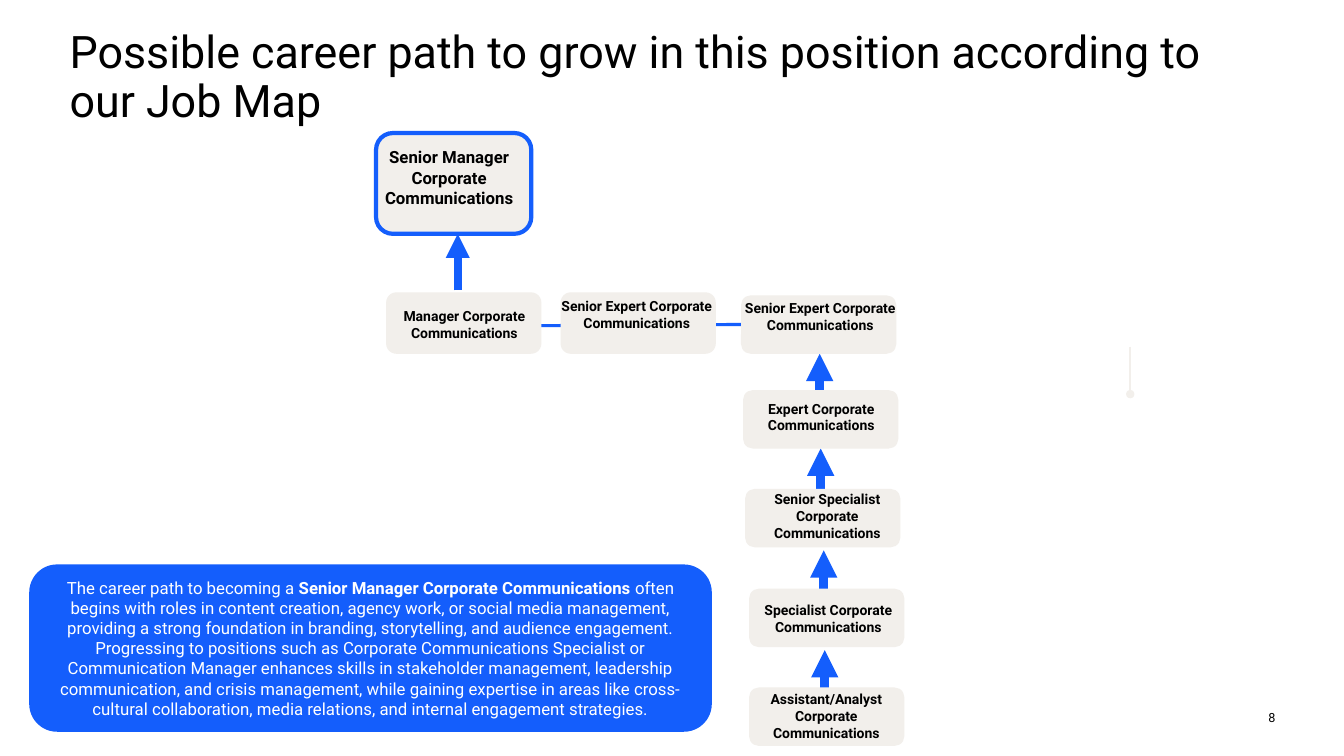
"""Build the career path slide for Corporate Communications."""
from lxml.etree import SubElement
from pptx import Presentation
from pptx.dml.color import RGBColor
from pptx.enum.shapes import MSO_CONNECTOR as Connector, MSO_SHAPE as Shape
from pptx.enum.text import MSO_ANCHOR as Anchor, PP_ALIGN as Align
from pptx.oxml.ns import qn
from pptx.util import Inches, Pt

BLUE = RGBColor(0x14, 0x5E, 0xFC)
SAND = RGBColor(0xF2, 0xEF, 0xEB)
BLACK = RGBColor(0, 0, 0)
WHITE = RGBColor(255, 255, 255)
FONT = "Roboto"
CARD_WIDTH = 1.54

TITLE = "Possible career path to grow in this position according to our Job Map"
TOP_ROLE = "Senior Manager Corporate Communications"
SUMMARY = [
    ("The career path to becoming a ", False),
    (TOP_ROLE + " ", True),
    ("often begins with roles in content creation, agency work, or social media "
     "management, providing a strong foundation in branding, storytelling, and audience "
     "engagement. Progressing to positions such as Corporate Communications Specialist or "
     "Communication Manager enhances skills in stakeholder management, leadership "
     "communication, and crisis management, while gaining expertise in areas like "
     "cross-cultural collaboration, media relations, and internal engagement strategies.",
     False),
]

# Role, card offset, label offset from the card, label width
MANAGEMENT_ROLES = [
    ("Manager Corporate Communications", (0, 0), (0.08, 0.15), 1.39),
    ("Senior Expert Corporate Communications", (1.73, 0), (-0.03, 0.05), 1.57),
]
LADDER_ROLES = [
    ("Senior Expert Corporate Communications", (0, 0), (0.03, 0.04), 1.51),
    ("Expert Corporate Communications", (0.02, 0.94), (0.02, 0.1), 1.51),
    ("Senior Specialist Corporate Communications", (0.04, 1.92), (0.06, 0.02), 1.51),
    ("Specialist Corporate Communications", (0.08, 2.91), (0.03, 0.13), 1.51),
    ("Assistant/Analyst Corporate Communications", (0.08, 3.89), (0.01, 0.03), 1.51),
]
# Horizontal offset, start and tip of each arrow
LADDER_ARROWS = [(0.78, 0.98, 0.58), (0.79, 1.92, 1.52),
                 (0.82, 2.92, 2.53), (0.83, 3.91, 3.52)]


def write_text(frame, spans, size=10, color=BLACK, align=Align.CENTER,
               anchor=Anchor.TOP, inset=0, spacing=None):
    """Fill a text frame with one paragraph of (text, bold) spans."""
    frame.word_wrap = True
    frame.vertical_anchor = anchor
    frame.margin_left = frame.margin_right = Inches(inset)
    frame.margin_top = frame.margin_bottom = Inches(inset / 2)
    para = frame.paragraphs[0]
    para.alignment = align
    para.line_spacing = spacing
    for text, bold in spans:
        span = para.add_run()
        span.text = text
        span.font.name = FONT
        span.font.size = Pt(size)
        span.font.bold = bold
        span.font.color.rgb = color


def add_text(page, box, text, bold=False, **style):
    """Add a text box at (left, top, width, height)."""
    frame = page.shapes.add_textbox(*map(Inches, box)).text_frame
    write_text(frame, [(text, bold)], **style)


def add_card(page, box, fill=SAND, outline=None):
    """Add a rounded card, outlined only when a colour is given."""
    card = page.shapes.add_shape(Shape.ROUNDED_RECTANGLE, *map(Inches, box))
    card.shadow.inherit = False
    card.fill.solid()
    card.fill.fore_color.rgb = fill
    if outline is None:
        card.line.fill.background()
    else:
        card.line.color.rgb = outline
        card.line.width = Pt(3)
    return card


def add_line(page, start, end, width, color=BLUE, tail=None):
    """Add a straight line with an optional end mark."""
    line = page.shapes.add_connector(Connector.STRAIGHT, *map(Inches, (*start, *end)))
    line.line.color.rgb = color
    line.line.width = Pt(width)
    if tail:
        SubElement(line.line._get_or_add_ln(), qn("a:tailEnd"), type=tail)
    SubElement(line._element.spPr, qn("a:effectLst"))


def add_roles(page, left, top, height, roles):
    """Place role cards and their labels relative to a corner."""
    for role, (across, down), (label_across, label_down), width in roles:
        x, y = left + across, top + down
        add_card(page, (x, y, CARD_WIDTH, height))
        add_text(page, (x + label_across, y + label_down, width, 0.5), role, bold=True)


def add_header(page, left, top, width, height):
    """Place the slide title."""
    add_text(page, (left, top, width, height), TITLE, size=32,
             align=Align.LEFT, spacing=0.9)


def add_top_role(page, left, top, width, height):
    """Place the outlined target role and the arrow leading to it."""
    add_line(page, (left + 0.81, top + 1.56), (left + 0.81, top + height), 5.75,
             tail="triangle")
    add_card(page, (left, top, width, height), outline=BLUE)
    add_text(page, (left - 0.06, top + 0.14, 1.57, 0.8), TOP_ROLE, bold=True, size=12)


def add_management_row(page, left, top, height):
    """Place the horizontal row of roles on its connecting line."""
    add_line(page, (left + 0.07, top + 0.34), (left + 5.05, top + 0.31), 2.25)
    add_roles(page, left, top, height, MANAGEMENT_ROLES)


def add_ladder(page, left, top, height):
    """Place the vertical ladder of roles joined by upward arrows."""
    for across, start, tip in LADDER_ARROWS:
        add_line(page, (left + across, top + start), (left + across, top + tip), 6.5,
                 tail="triangle")
    add_roles(page, left, top, height, LADDER_ROLES)


def add_summary(page, left, top, width, height):
    """Place the blue panel describing the path."""
    panel = add_card(page, (left, top, width, height), fill=BLUE)
    write_text(panel.text_frame, SUMMARY, size=12, color=WHITE,
               anchor=Anchor.MIDDLE, inset=0.1)


def main():
    """Build and save the deck."""
    deck = Presentation()
    deck.slide_width, deck.slide_height = Inches(13.33), Inches(7.5)
    page = deck.slides.add_slide(deck.slide_layouts[6])
    add_header(page, 0.69, 0.3, 11.97, 0.87)
    add_management_row(page, 3.83, 2.9, 0.61)
    add_ladder(page, 7.35, 2.93, 0.58)
    add_top_role(page, 3.73, 1.32, CARD_WIDTH, 1)
    add_line(page, (11.21, 3.44), (11.21, 3.91), 1.5, color=SAND, tail="oval")
    add_summary(page, 0.29, 5.6, 6.77, 1.66)
    add_text(page, (12.34, 7.02, 0.31, 0.2), "8", size=9, align=Align.RIGHT,
             anchor=Anchor.MIDDLE)
    deck.save("out.pptx")


if __name__ == "__main__":
    main()
